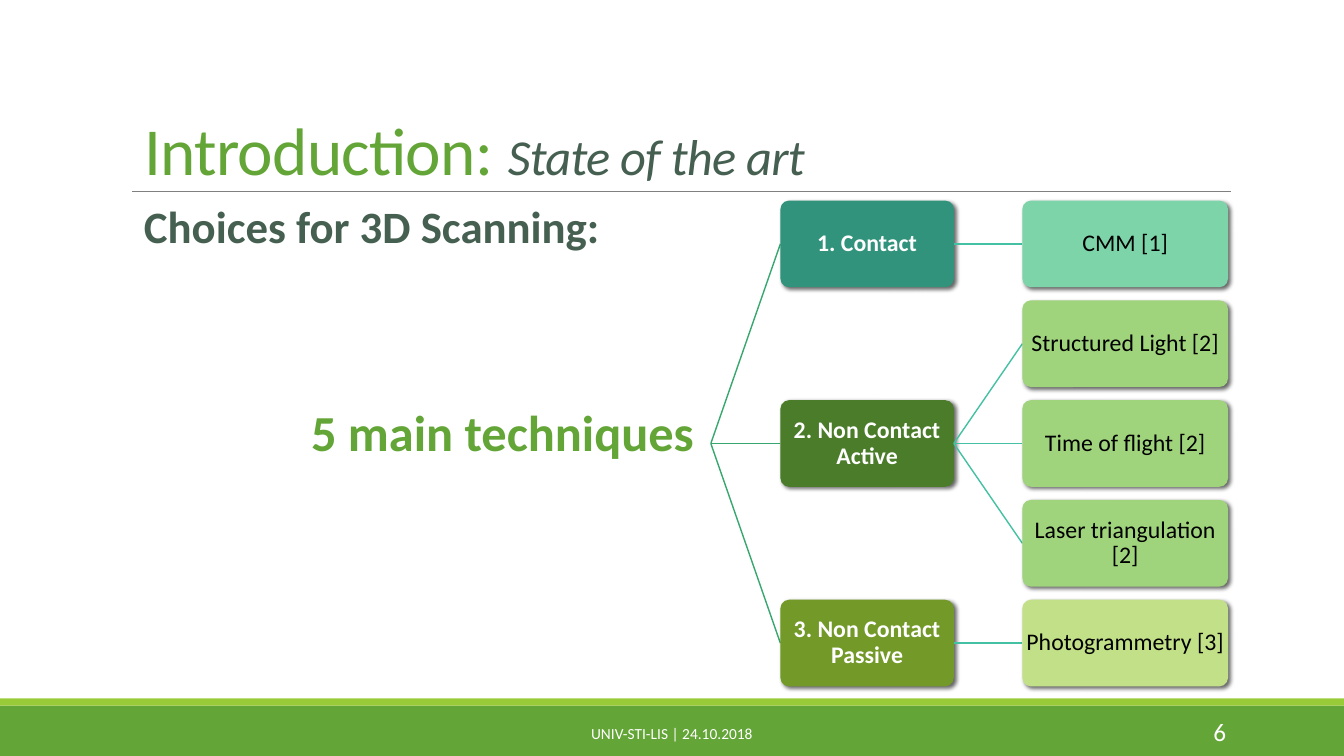
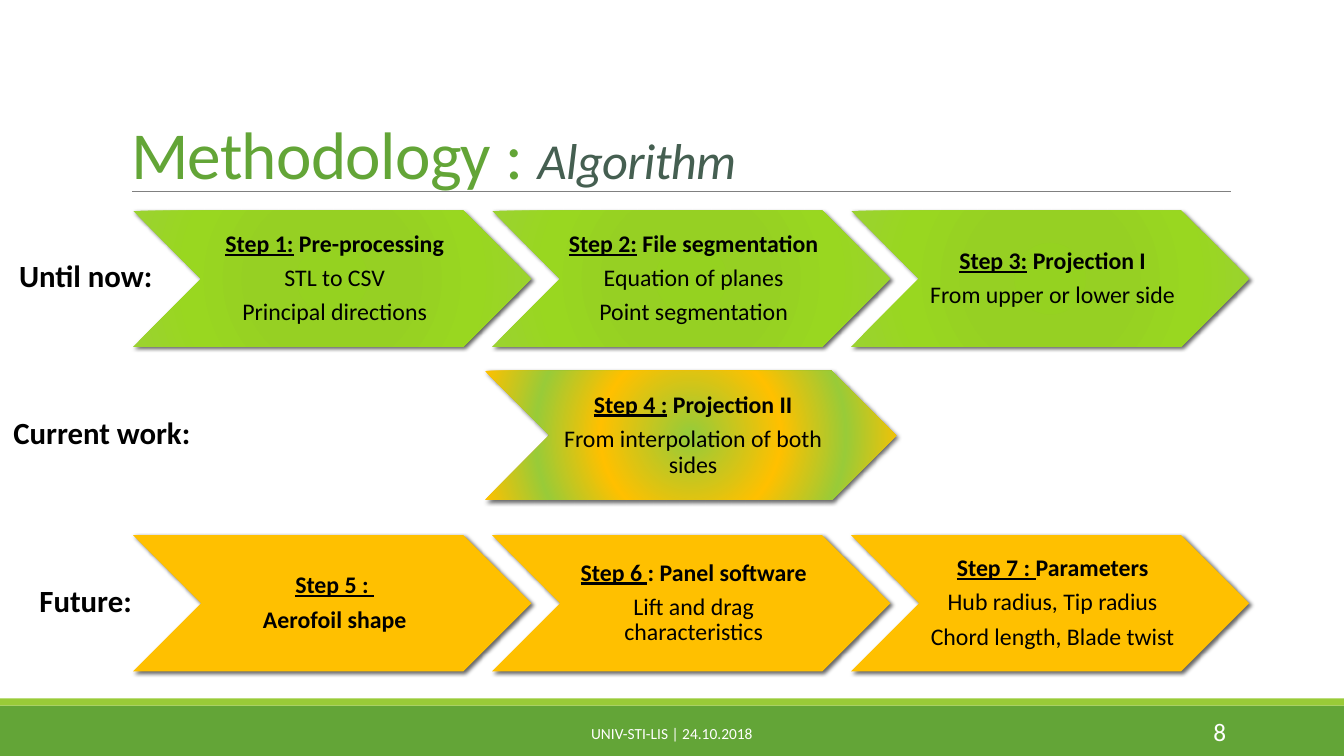
from collections import namedtuple

from lxml.etree import SubElement
from pptx import Presentation
from pptx.dml.color import RGBColor
from pptx.enum.shapes import MSO_CONNECTOR, MSO_SHAPE
from pptx.enum.text import MSO_ANCHOR, MSO_AUTO_SIZE, PP_ALIGN
from pptx.oxml.ns import qn
from pptx.util import Inches, Pt

FONT = "Calibri"
WIDTH, HEIGHT = 13.33, 7.5
FOOTER_TOP = 7
COLORS = {
    "green": "63A537", "lime": "99CB38", "slate": "455F51", "rule": "808080",
    "white": "FFFFFF", "black": "000000", "amber": "FFC000",
    "trunk": "37A76F", "branch": "44C1A3",
    "teal": "31937B", "mint": "7DD4A9", "forest": "4A7C29",
    "leaf": "9FD47D", "olive": "739A28", "pale": "C2E088",
}
DONE_STOPS = [(0, "95D220"), (34, "96D023"), (70, "99D720"), (100, "9BD231")]
CURRENT_STOPS = [(2, COLORS["lime"]), (42, COLORS["amber"]),
                 (72, COLORS["lime"]), (100, COLORS["amber"])]

Box = namedtuple("Box", "left top width height")

# Technique tree: five rows, method column and technique column
TREE_TOP, TREE_PITCH, NODE_HEIGHT = 1.99, 0.99, 0.86
ROOT_X = 7.05
METHOD_LEFT, METHOD_WIDTH = 7.74, 1.72
TECHNIQUE_LEFT, TECHNIQUE_WIDTH = 10.14, 2.04
METHODS = [
    ("1. Contact", "teal", 0, "mint", ["CMM [1]"]),
    ("2. Non Contact Active", "forest", 1, "leaf",
     ["Structured Light [2]", "Time of flight [2]", "Laser triangulation [2]"]),
    ("3. Non Contact Passive", "olive", 4, "pale", ["Photogrammetry [3]"]),
]

# Algorithm steps: (underlined label, rest of heading, detail lines)
STEP_LEFT, STEP_PITCH, STEP_WIDTH, STEP_HEIGHT = 1.32, 3.56, 3.95, 1.35
DONE_TOP, FUTURE_TOP = 2.09, 5.31
DONE_STEPS = [
    ("Step 1:", " Pre-processing", ["STL to CSV", "Principal directions"]),
    ("Step 2:", " File segmentation", ["Equation of planes", "Point segmentation"]),
    ("Step 3:", " Projection I", ["From upper or lower side"]),
]
CURRENT_STEP = ("Step 4 :", " Projection II", ["From interpolation of both sides"])
FUTURE_STEPS = [
    ("Step 5 : ", "\nAerofoil shape", []),
    ("Step 6 ", ": Panel software", ["Lift and drag characteristics"]),
    ("Step 7 : ", "Parameters", ["Hub radius, Tip radius", "Chord length, Blade twist"]),
]
ROW_LABELS = [
    ("Until now:", Box(0, 2.54, 1.7, 0.45)),
    ("Current work:", Box(0, 4.1, 2.02, 0.45)),
    ("Future:", Box(0, 5.76, 1.7, 0.45)),
]


def color(name):
    """Return the palette colour with this name."""
    return RGBColor.from_string(COLORS[name])


def inches(box):
    """Return a box as four lengths."""
    return [Inches(value) for value in box]


def add_run(paragraph, text, size, color_name, bold=False, italic=False, underline=False):
    """Append a formatted run to a paragraph."""
    run = paragraph.add_run()
    run.text = text
    font = run.font
    font.name, font.size = FONT, Pt(size)
    font.bold, font.italic, font.underline = bold, italic, underline
    font.color.rgb = color(color_name)
    return run


def set_frame(text_frame, margins=(0.1, 0.05, 0.1, 0.05), anchor=MSO_ANCHOR.MIDDLE):
    """Set wrapping, margins and vertical anchor of a text frame."""
    text_frame.word_wrap = True
    text_frame.auto_size = MSO_AUTO_SIZE.NONE
    text_frame.vertical_anchor = anchor
    (text_frame.margin_left, text_frame.margin_top,
     text_frame.margin_right, text_frame.margin_bottom) = inches(margins)


def add_label(slide, box, text, size, color_name, bold=False,
              align=PP_ALIGN.CENTER, anchor=MSO_ANCHOR.TOP, spacing=0.9):
    """Add a one-paragraph text box."""
    text_frame = slide.shapes.add_textbox(*inches(box)).text_frame
    set_frame(text_frame, anchor=anchor)
    paragraph = text_frame.paragraphs[0]
    paragraph.alignment, paragraph.line_spacing = align, spacing
    add_run(paragraph, text, size, color_name, bold)


def add_block(slide, kind, box, color_name):
    """Add a flat preset shape without outline."""
    shape = slide.shapes.add_shape(kind, *inches(box))
    shape.shadow.inherit = False
    shape.fill.solid()
    shape.fill.fore_color.rgb = color(color_name)
    shape.line.fill.background()
    return shape


def add_line(slide, start, end, color_name, width):
    """Add a straight line without shadow."""
    connector = slide.shapes.add_connector(
        MSO_CONNECTOR.STRAIGHT, *inches(start + end))
    connector.line.color.rgb = color(color_name)
    connector.line.width = Pt(width)
    SubElement(connector._element.spPr, qn("a:effectLst"))


def add_color_element(parent, hex_value):
    """Append an RGB colour element and return it."""
    element = SubElement(parent, qn("a:srgbClr"))
    element.set("val", hex_value)
    return element


def cast_shadow(shape):
    """Give a shape a soft shadow towards the lower right."""
    effects = shape._element.spPr.find(qn("a:effectLst"))
    shadow = SubElement(effects, qn("a:outerShdw"))
    for name, value in (("blurRad", Pt(3)), ("dist", Pt(2)), ("dir", 45 * 60000)):
        shadow.set(name, str(int(value)))
    shadow.set("rotWithShape", "0")
    alpha = SubElement(add_color_element(shadow, COLORS["black"]), qn("a:alpha"))
    alpha.set("val", "60000")


def fill_radial(shape, stops):
    """Fill a shape with a circular gradient centred on its lower right corner."""
    shape.fill.gradient()
    gradient = shape._element.spPr.find(qn("a:gradFill"))
    for child in list(gradient):
        gradient.remove(child)
    stop_list = SubElement(gradient, qn("a:gsLst"))
    for percent, hex_value in stops:
        stop = SubElement(stop_list, qn("a:gs"))
        stop.set("pos", str(percent * 1000))
        add_color_element(stop, hex_value)
    circle = SubElement(gradient, qn("a:path"))
    circle.set("path", "circle")
    focus = SubElement(circle, qn("a:fillToRect"))
    for side in "ltrb":
        focus.set(side, "50000")


def format_line(paragraph):
    """Apply the paragraph style shared by nodes and steps."""
    paragraph.alignment = PP_ALIGN.CENTER
    paragraph.line_spacing = 0.9
    paragraph.space_after = Pt(6)


def add_slide(presentation, title, subtitle, title_box, number):
    """Add a slide with bands, rule, two-part title and footer."""
    slide = presentation.slides.add_slide(presentation.slide_layouts[5])
    add_block(slide, MSO_SHAPE.RECTANGLE,
              Box(0, FOOTER_TOP, WIDTH, HEIGHT - FOOTER_TOP), "green")
    add_block(slide, MSO_SHAPE.RECTANGLE, Box(0, FOOTER_TOP - 0.07, WIDTH, 0.07), "lime")
    add_line(slide, (1.31, 1.9), (12.21, 1.9), "rule", 0.5)

    heading = slide.shapes.title
    heading.left, heading.top, heading.width, heading.height = inches(title_box)
    set_frame(heading.text_frame, anchor=MSO_ANCHOR.BOTTOM)
    paragraph = heading.text_frame.paragraphs[0]
    paragraph.alignment, paragraph.line_spacing = PP_ALIGN.LEFT, 0.85
    runs = (add_run(paragraph, title, 48, "green"),
            add_run(paragraph, subtitle, 36, "slate", italic=True))
    for run in runs:
        run._r.get_or_add_rPr().set("spc", "-50")

    add_label(slide, Box(4.03, 7.08, 5.27, 0.4), "UNIV-STI-LIS | 24.10.2018", 11,
              "white", anchor=MSO_ANCHOR.MIDDLE, spacing=1)
    add_label(slide, Box(10.83, 7.06, 1.43, 0.4), str(number), 18, "white",
              align=PP_ALIGN.RIGHT, anchor=MSO_ANCHOR.MIDDLE, spacing=1)
    return slide


def row_center(row):
    """Return the vertical centre of a tree row."""
    return TREE_TOP + row * TREE_PITCH + NODE_HEIGHT / 2


def add_node(slide, left, width, row, text, fill_name, text_name, bold=False):
    """Add a rounded box of the technique tree."""
    top = TREE_TOP + row * TREE_PITCH
    node = add_block(slide, MSO_SHAPE.ROUNDED_RECTANGLE,
                     Box(left, top, width, NODE_HEIGHT), fill_name)
    node.adjustments[0] = 0.1
    cast_shadow(node)
    set_frame(node.text_frame, (0.01,) * 4)
    paragraph = node.text_frame.paragraphs[0]
    format_line(paragraph)
    add_run(paragraph, text, 17, text_name, bold)


def add_tree(slide):
    """Draw methods and techniques with their branches."""
    root = (ROOT_X, row_center(2))
    for method, method_fill, first_row, technique_fill, techniques in METHODS:
        method_row = first_row + (len(techniques) - 1) / 2
        method_y = row_center(method_row)
        add_line(slide, root, (METHOD_LEFT, method_y), "trunk", 1)
        add_node(slide, METHOD_LEFT, METHOD_WIDTH, method_row, method,
                 method_fill, "white", bold=True)
        for row, technique in enumerate(techniques, first_row):
            add_line(slide, (METHOD_LEFT + METHOD_WIDTH, method_y),
                     (TECHNIQUE_LEFT, row_center(row)), "branch", 1)
            add_node(slide, TECHNIQUE_LEFT, TECHNIQUE_WIDTH, row, technique,
                     technique_fill, "black")


def add_step(slide, box, step, stops=None):
    """Add a chevron with an underlined step label and its details."""
    label, heading, details = step
    chevron = add_block(slide, MSO_SHAPE.CHEVRON, box, "amber")
    if stops:
        fill_radial(chevron, stops)
    cast_shadow(chevron)
    text_frame = chevron.text_frame
    set_frame(text_frame, (0.07, 0.02, 0.02, 0.02))
    first = text_frame.paragraphs[0]
    add_run(first, label, 17, "black", bold=True, underline=True)
    target = text_frame.add_paragraph() if heading.startswith("\n") else first
    add_run(target, heading.lstrip("\n"), 17, "black", bold=True)
    for detail in details:
        add_run(text_frame.add_paragraph(), detail, 17, "black")
    for paragraph in text_frame.paragraphs:
        format_line(paragraph)


def add_step_row(slide, top, steps, stops=None):
    """Add a row of evenly spaced chevrons."""
    for column, step in enumerate(steps):
        left = STEP_LEFT + column * STEP_PITCH
        add_step(slide, Box(left, top, STEP_WIDTH, STEP_HEIGHT), step, stops)


def build_introduction(presentation):
    """Build the overview of scanning techniques."""
    slide = add_slide(presentation, "Introduction: ", "State of the art",
                      Box(1.33, 0.48, 10.87, 1.45), 6)
    add_tree(slide)
    add_label(slide, Box(2.42, 4, 5.13, 0.78), "5 main techniques", 36, "green", bold=True)
    add_label(slide, Box(1.33, 1.98, 9.33, 0.59), "Choices for 3D Scanning:", 32,
              "slate", bold=True, align=PP_ALIGN.LEFT)


def build_methodology(presentation):
    """Build the seven steps of the algorithm."""
    slide = add_slide(presentation, "Methodology : ", "Algorithm",
                      Box(1.2, 0, 11.06, 1.97), 8)
    add_step_row(slide, DONE_TOP, DONE_STEPS, DONE_STOPS)
    add_step(slide, Box(4.81, 3.68, 4.08, 1.28), CURRENT_STEP, CURRENT_STOPS)
    add_step_row(slide, FUTURE_TOP, FUTURE_STEPS)
    for text, box in ROW_LABELS:
        add_label(slide, box, text, 22, "black", bold=True)


def main():
    """Build and save the presentation."""
    presentation = Presentation()
    presentation.slide_width, presentation.slide_height = Inches(WIDTH), Inches(HEIGHT)
    build_introduction(presentation)
    build_methodology(presentation)
    presentation.save("out.pptx")


main()
